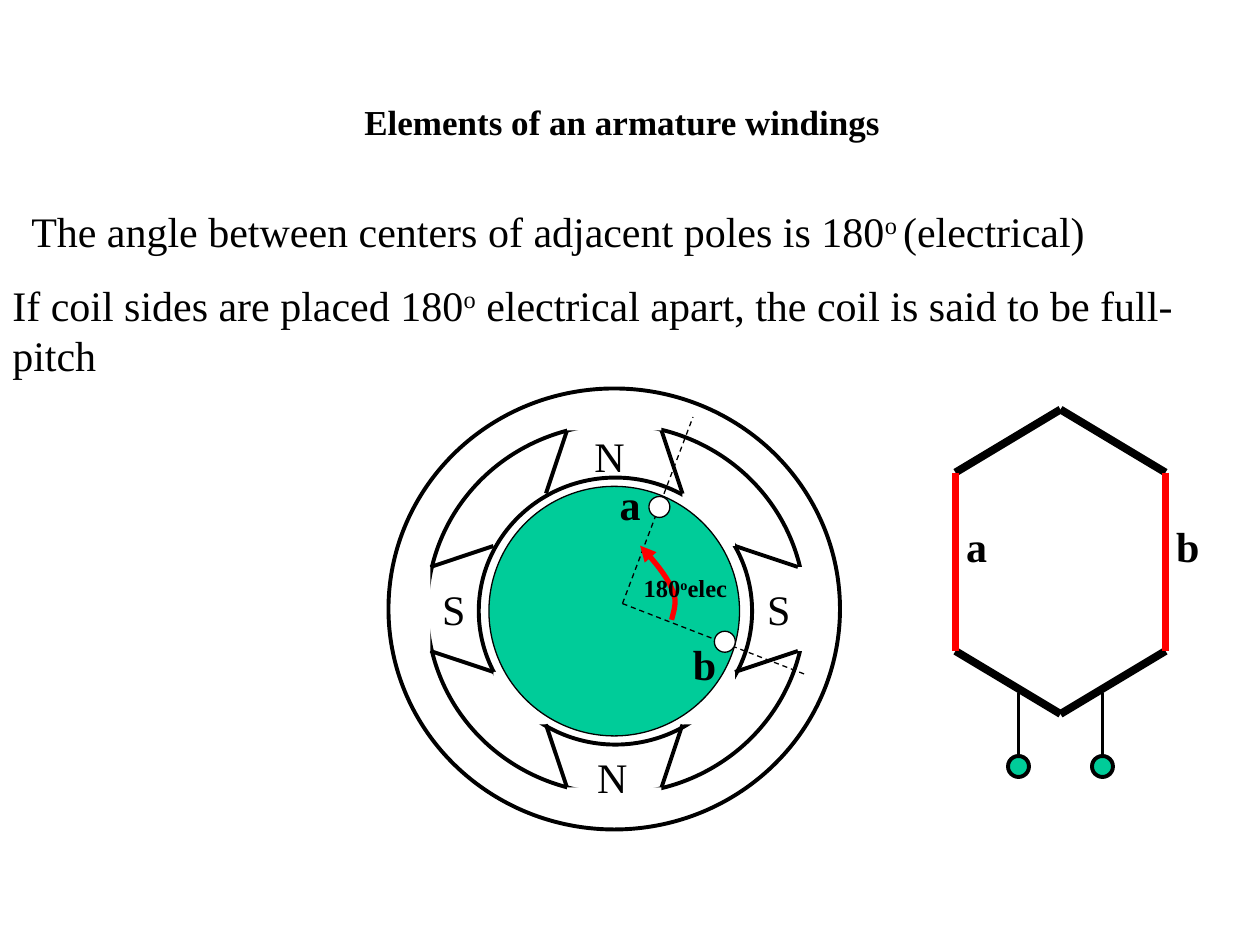
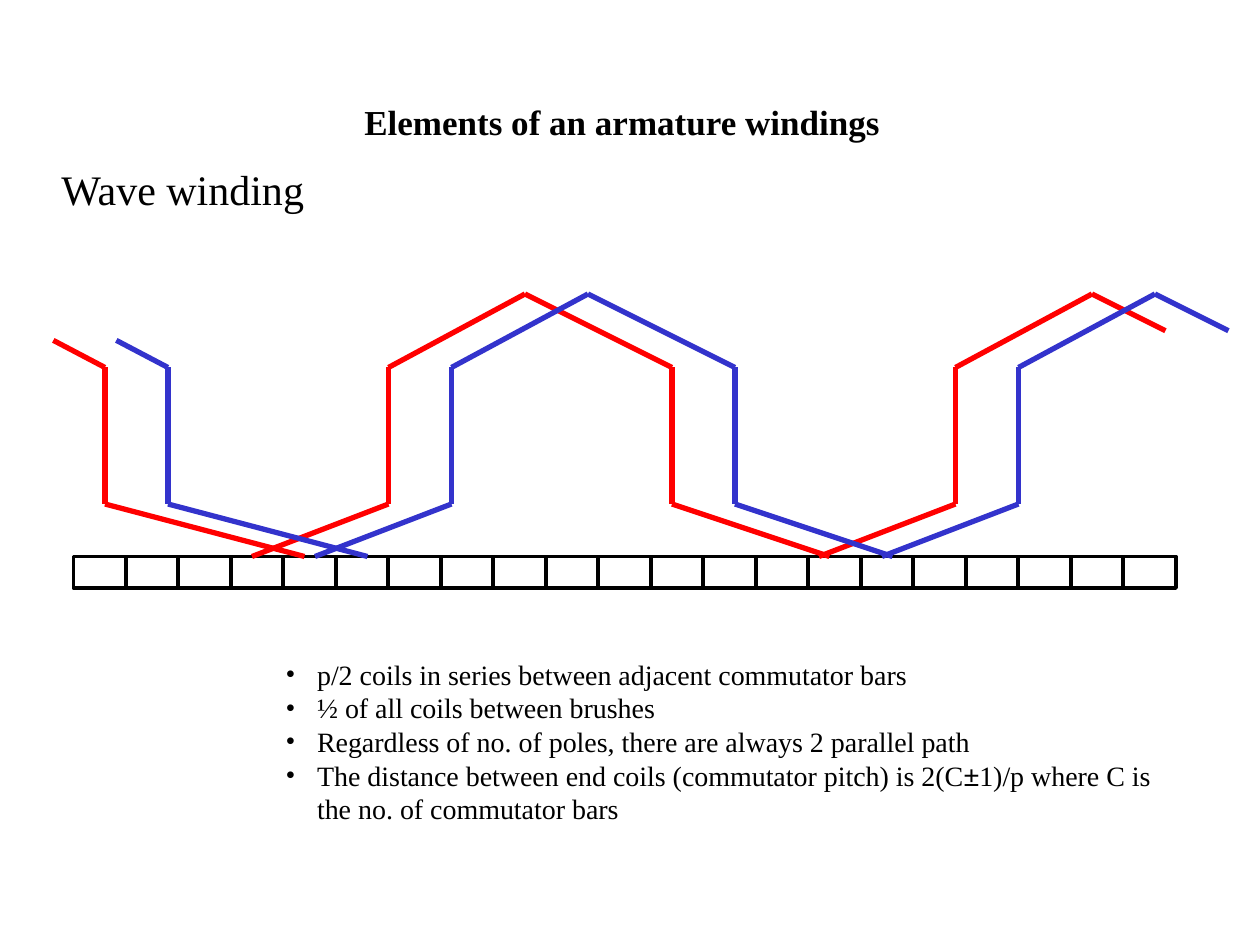
from lxml import etree
from pptx import Presentation
from pptx.dml.color import RGBColor
from pptx.enum.dml import MSO_LINE
from pptx.enum.shapes import MSO_CONNECTOR, MSO_SHAPE
from pptx.enum.text import MSO_ANCHOR, MSO_AUTO_SIZE, PP_ALIGN
from pptx.oxml.ns import qn
from pptx.util import Pt

BLACK = RGBColor(0x00, 0x00, 0x00)
WHITE = RGBColor(0xFF, 0xFF, 0xFF)
GREEN = RGBColor(0x00, 0xCC, 0x99)
RED = RGBColor(0xFF, 0x00, 0x00)
BLUE = RGBColor(0x33, 0x33, 0xCC)

STRAIGHT = MSO_CONNECTOR.STRAIGHT
OVAL, RECT = MSO_SHAPE.OVAL, MSO_SHAPE.RECTANGLE
LEFT, CENTER = PP_ALIGN.LEFT, PP_ALIGN.CENTER
TOP, GROW, DASH = MSO_ANCHOR.TOP, MSO_AUTO_SIZE.SHAPE_TO_FIT_TEXT, MSO_LINE.DASH

FONT = "Times New Roman"
TITLE = "Elements of an armature windings"
TITLE_ONLY, TITLE_AND_BODY = 5, 1
SUPER = {"super": True}


# Shared text and drawing helpers
def place(box, left, top, width, height):
    values = {"left": left, "top": top, "width": width, "height": height}
    for name, value in values.items():
        setattr(box, name, Pt(value))


def write(box, paragraphs, size=24, bold=False, wrap=False, align=LEFT):
    """Fill a box; each paragraph is a list of (text, format) spans."""
    frame = box.text_frame
    settings = {"word_wrap": wrap, "auto_size": GROW, "vertical_anchor": TOP,
                "margin_left": Pt(7.2), "margin_right": Pt(7.2),
                "margin_top": Pt(3.6), "margin_bottom": Pt(3.6)}
    for name, value in settings.items():
        setattr(frame, name, value)
    for index, spans in enumerate(paragraphs):
        para = frame.paragraphs[0] if index == 0 else frame.add_paragraph()
        para.alignment = align
        para.space_before = Pt(0)
        for text, style in spans:
            span = para.add_run()
            span.text = text
            font = {"name": style.get("font", FONT), "size": Pt(size), "bold": bold}
            for name, value in font.items():
                setattr(span.font, name, value)
            span.font.color.rgb = BLACK
            if style.get("super"):
                span.font._element.set("baseline", "30000")


def add_text(page, area, spans, **style):
    box = page.shapes.add_textbox(*map(Pt, area))
    write(box, [spans], **style)


def add_label(page, left, top, text, width=27, **style):
    add_text(page, (left, top, width, 36), [(text, {})], **style)


def add_figure(page, kind, area, fill=None, line=BLACK, weight=2.25):
    figure = page.shapes.add_shape(kind, *map(Pt, area))
    figure.shadow.inherit = False
    if fill is None:
        figure.fill.background()
    else:
        figure.fill.solid()
        figure.fill.fore_color.rgb = fill
    if line is None:
        figure.line.fill.background()
    else:
        figure.line.color.rgb = line
        figure.line.width = Pt(weight)


def add_oval(page, center_x, center_y, radius_x, radius_y, **style):
    area = (center_x - radius_x, center_y - radius_y, 2 * radius_x, 2 * radius_y)
    add_figure(page, OVAL, area, **style)


def add_line(page, start, end, color=BLACK, weight=2.25, dash=None):
    line = page.shapes.add_connector(STRAIGHT, *map(Pt, (*start, *end)))
    line.line.color.rgb = color
    line.line.width = Pt(weight)
    if dash:
        line.line.dash_style = dash
    etree.SubElement(line._element.spPr, qn("a:effectLst"))


def add_polyline(page, points, **style):
    for start, end in zip(points, points[1:]):
        add_line(page, start, end, **style)


def add_page(deck, layout):
    page = deck.slides.add_slide(deck.slide_layouts[layout])
    place(page.shapes.title, 201, 54, 309.6, 31.7)
    write(page.shapes.title, [[(TITLE, {})]], size=20, bold=True)
    return page


# Four-pole machine, laid out around its centre
def draw_stator(page, x, y):
    add_oval(page, x, y, 129, 126)
    add_oval(page, x + 0.7, y + 1.2, 78.1, 76.3)
    add_oval(page, x + 1, y, 108, 105.5)
    # Gaps between the pole shoes
    for left, top in ((39, -66), (39, 36), (-69, 36)):
        add_figure(page, RECT, (x + left, y + top, 30, 30), fill=WHITE, line=None)
    # Sides of the poles
    for sign_x in (-1, 1):
        for sign_y in (-1, 1):
            add_line(page, (x + 39 * sign_x, y + 66 * sign_y),
                     (x + 27 * sign_x, y + 102 * sign_y))
            add_line(page, (x + 69 * sign_x, y + 36 * sign_y),
                     (x + 105 * sign_x, y + 24 * sign_y))
    # Open roots of the poles
    for left, top, width, height in ((-27, -108, 54, 6), (-27, 102, 54, 6),
                                     (-111, -24, 6, 48), (105, -24, 6, 48)):
        add_figure(page, RECT, (x + left, y + top, width, height),
                   fill=WHITE, line=None)
    for name, left, top in (("N", -18.4, -105.4), ("N", -16.9, 78.2),
                            ("S", -105.5, -18.2), ("S", 80.3, -18.2)):
        add_label(page, x + left, y + top, name, width=31.7 if name == "N" else 27.4)


def curve_points(start, first, second, end, steps=12):
    """Points along a cubic curve."""
    for step in range(steps + 1):
        t = step / steps
        weights = ((1 - t) ** 3, 3 * t * (1 - t) ** 2, 3 * t * t * (1 - t), t ** 3)
        yield tuple(sum(weight * point[axis] for weight, point
                        in zip(weights, (start, first, second, end)))
                    for axis in (0, 1))


def draw_angle_arrow(page, x, y):
    knots = [(32.8, 6.2), (34.2, 0.5), (36.4, -5.3), (32.8, -11.8),
             (29.9, -19), (22.7, -27.6), (14.8, -36.2)]
    points = [*curve_points(*knots[:4]), *list(curve_points(*knots[3:]))[1:]]
    points = [(Pt(x + dx), Pt(y + dy)) for dx, dy in points]
    builder = page.shapes.build_freeform(*points[0])
    builder.add_line_segments(points[1:], close=False)
    arrow = builder.convert_to_shape()
    arrow.shadow.inherit = False
    arrow.fill.background()
    arrow.line.color.rgb = RED
    arrow.line.width = Pt(3)
    etree.SubElement(arrow.line._get_or_add_ln(), qn("a:tailEnd"), type="triangle")


def draw_rotor(page, x, y):
    add_oval(page, x, y + 1.2, 71.6, 71.3, fill=GREEN, weight=0.75)
    shaft = (x + 4.7, y - 3.1)
    for dx, dy in ((45, -109.7), (110.5, 37.9)):
        add_line(page, shaft, (x + dx, y + dy), weight=0.75, dash=DASH)
    draw_angle_arrow(page, x, y)
    # Coil sides in their slots
    for name, slot_x, slot_y, left, top in (("a", 25.8, -58.3, -4, -78),
                                            ("b", 63.2, 18.7, 37.8, 13.4)):
        add_oval(page, x + slot_x, y + slot_y, 6, 6, fill=WHITE, weight=0.75)
        add_label(page, x + left, y + top, name, bold=True)
    add_text(page, (x + 9.7, y - 24, 61.9, 24.5),
             [("180", {}), ("o", SUPER), ("elec", {})],
             size=14, bold=True, align=CENTER)


# Single coil with its two leads
def draw_coil(page, left, top, width=120):
    right, middle = left + width, left + width / 2
    upper, lower = top + 36, top + 138
    for tip, shoulder in ((top, upper), (top + 174, lower)):
        add_polyline(page, [(left, shoulder), (middle, tip), (right, shoulder)],
                     weight=4.5)
    for offset in (-24, 24):
        x = middle + offset
        add_line(page, (x, top + 162), (x, top + 198))
        add_oval(page, x, top + 204, 6, 6, fill=GREEN)
    for name, x in (("a", left), ("b", right)):
        add_label(page, x - 1, top + 59.8, name, bold=True)
        add_line(page, (x, upper), (x, lower), color=RED, weight=4.5)


# Wave winding over the commutator
def draw_commutator(page, left, top, count=21, width=30, height=18):
    for index in range(count):
        add_figure(page, RECT, (left + index * width, top, width, height))


def draw_wave(page, left, top, color):
    upper, lower, bar = 42, 120, 150
    runs = [
        [(0.5, 26.5), (30, upper), (30, lower), (144, bar)],
        [(114, bar), (192, lower), (192, upper), (270, 0), (354, upper),
         (354, lower), (444, bar)],
        [(438, bar), (516, lower), (516, upper), (594, 0), (636, 21)],
    ]
    for run in runs:
        add_polyline(page, [(left + x, top + y) for x, y in run],
                     color=color, weight=3)


def fill_notes_list(body, area, paragraphs):
    place(body, *area)
    write(body, paragraphs, size=16, wrap=True)
    for para in body.text_frame.paragraphs:
        props = para._p.get_or_add_pPr()
        props.set("marL", str(Pt(18)))
        props.set("indent", str(-Pt(18)))
        color = etree.SubElement(props, qn("a:buClr"))
        etree.SubElement(color, qn("a:srgbClr"), val=str(BLACK))
        etree.SubElement(props, qn("a:buFont"), typeface=FONT)
        etree.SubElement(props, qn("a:buChar"), char="•")


# Slides
def build_full_pitch(deck):
    page = add_page(deck, TITLE_ONLY)
    add_text(page, (10.8, 113.8, 631.4, 36),
             [("The angle between centers of adjacent poles is 180", {}),
              ("o ", SUPER), ("(electrical)", {})], wrap=True)
    add_text(page, (0, 156, 720, 65),
             [("If coil sides are placed 180", {}), ("o", SUPER),
              (" electrical apart, the coil is said to be full-pitch", {})],
             wrap=True)
    draw_stator(page, 351, 348)
    draw_rotor(page, 351, 348)
    draw_coil(page, 546, 234)


def build_wave_winding(deck):
    page = add_page(deck, TITLE_AND_BODY)
    add_label(page, 28, 90, "Wave winding", width=154.8)
    draw_commutator(page, 42, 318)
    for left, color in ((30, RED), (66, BLUE)):
        draw_wave(page, left, 168, color)
    fill_notes_list(page.placeholders[1], (156, 372, 516, 103.7), [
        [("p/2 coils in series between adjacent commutator bars", {})],
        [("½ of all coils between brushes", {})],
        [("Regardless of no. of poles, there are always 2 parallel path", {})],
        [("The distance between end coils (commutator pitch) is 2(C", {}),
         ("±", {"font": "Arial"}),
         ("1)/p where C is the no. of commutator bars", {})],
    ])


def main():
    deck = Presentation()
    deck.slide_width, deck.slide_height = Pt(720), Pt(540)
    build_full_pitch(deck)
    build_wave_winding(deck)
    deck.save("out.pptx")


if __name__ == "__main__":
    main()
